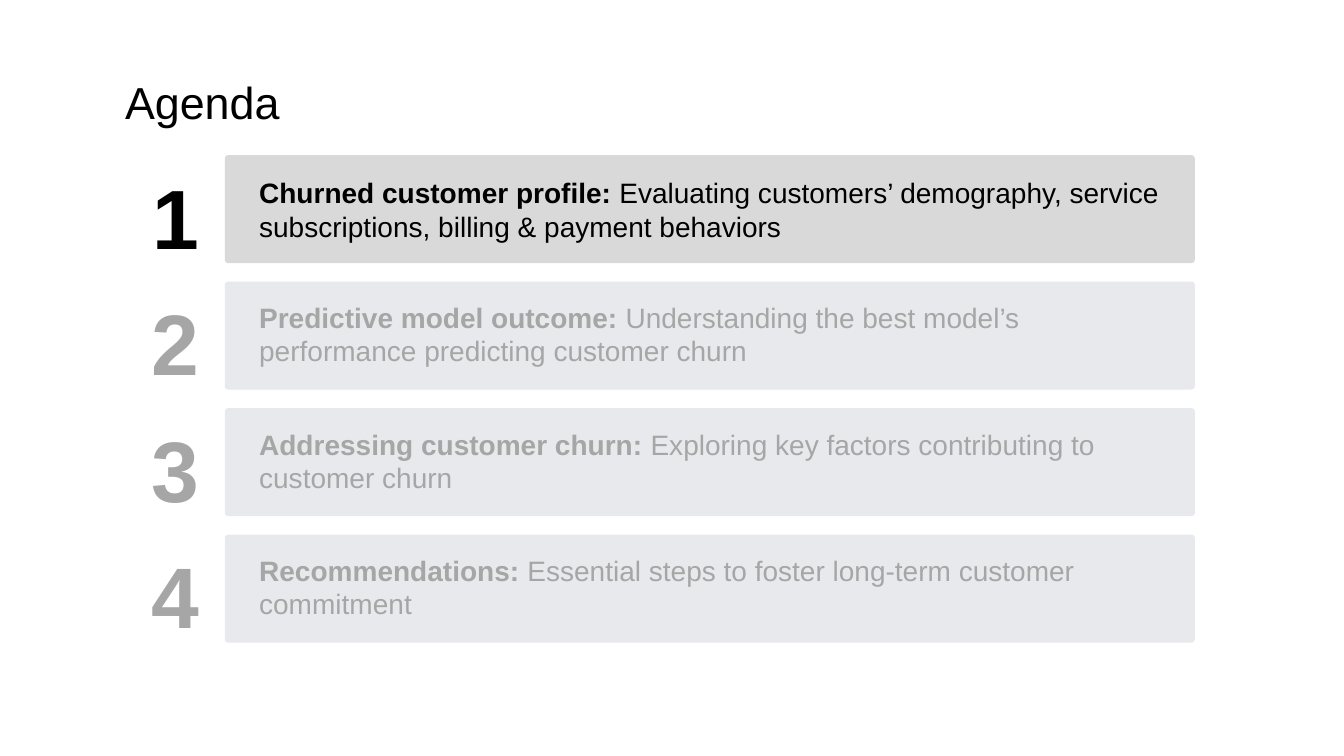
from pptx import Presentation
from pptx import util as u
from pptx.dml.color import RGBColor
from pptx.enum import shapes, text

HUES = {"ink": "000000", "dim": "A6A6A6", "lit": "D9D9D9", "pale": "E7E9EC"}
FONT = "Arial"
LEFT, TOP, STEP = 1.24, 1.54, 1.255
BAR = (2.23, 9.62, 1.07)
ITEMS = [
    ("Churned customer profile: ",
     "Evaluating customers’ demography, service subscriptions, billing & payment behaviors"),
    ("Predictive model outcome: ",
     "Understanding the best model’s performance predicting customer churn"),
    ("Addressing customer churn: ",
     "Exploring key factors contributing to customer churn"),
    ("Recommendations: ",
     "Essential steps to foster long-term customer commitment"),
]


def tint(hue):
    return RGBColor.from_string(HUES[hue])


def write(slide, box, runs, size, line, hue="ink", align=text.PP_ALIGN.LEFT):
    frame = slide.shapes.add_textbox(*map(u.Inches, box)).text_frame
    frame.word_wrap = True
    frame.margin_left = frame.margin_right = 0
    frame.margin_top = frame.margin_bottom = 0
    para = frame.paragraphs[0]
    para.alignment = align
    para.line_spacing = u.Pt(line)
    for words, bold in runs:
        run = para.add_run()
        run.text = words
        run.font.name = FONT
        run.font.size = u.Pt(size)
        run.font.bold = bold
        run.font.color.rgb = tint(hue)


def draw_bar(slide, top, hue):
    left, width, height = BAR
    bar = slide.shapes.add_shape(
        shapes.MSO_SHAPE.ROUNDED_RECTANGLE,
        *map(u.Inches, (left, top, width, height)))
    bar.adjustments[0] = 0.03
    bar.shadow.inherit = False
    bar.fill.solid()
    bar.fill.fore_color.rgb = tint(hue)
    bar.line.fill.background()


def add_item(slide, row, head, body, live):
    top = TOP + row * STEP
    hue = "ink" if live else "dim"
    draw_bar(slide, top, "lit" if live else "pale")
    write(slide, (2.57, top + 0.2, 8.95, 0.66), [(head, True), (body, False)],
          size=20, line=24.3 if live else 23.3, hue=hue)
    write(slide, (LEFT, top - 0.09, 1, 1.13), [(str(row + 1), True)],
          size=60 if live else 61.3, line=85.9, hue=hue,
          align=text.PP_ALIGN.CENTER)


def main():
    deck = Presentation()
    deck.slide_width, deck.slide_height = u.Inches(13.33), u.Inches(7.5)
    slide = deck.slides.add_slide(deck.slide_layouts[6])
    write(slide, (LEFT, 0.65, 4.5, 0.59), [("Agenda", False)],
          size=32, line=44.8)
    for row, (head, body) in enumerate(ITEMS):
        add_item(slide, row, head, body, live=row == 0)
    deck.save("out.pptx")


if __name__ == "__main__":
    main()
